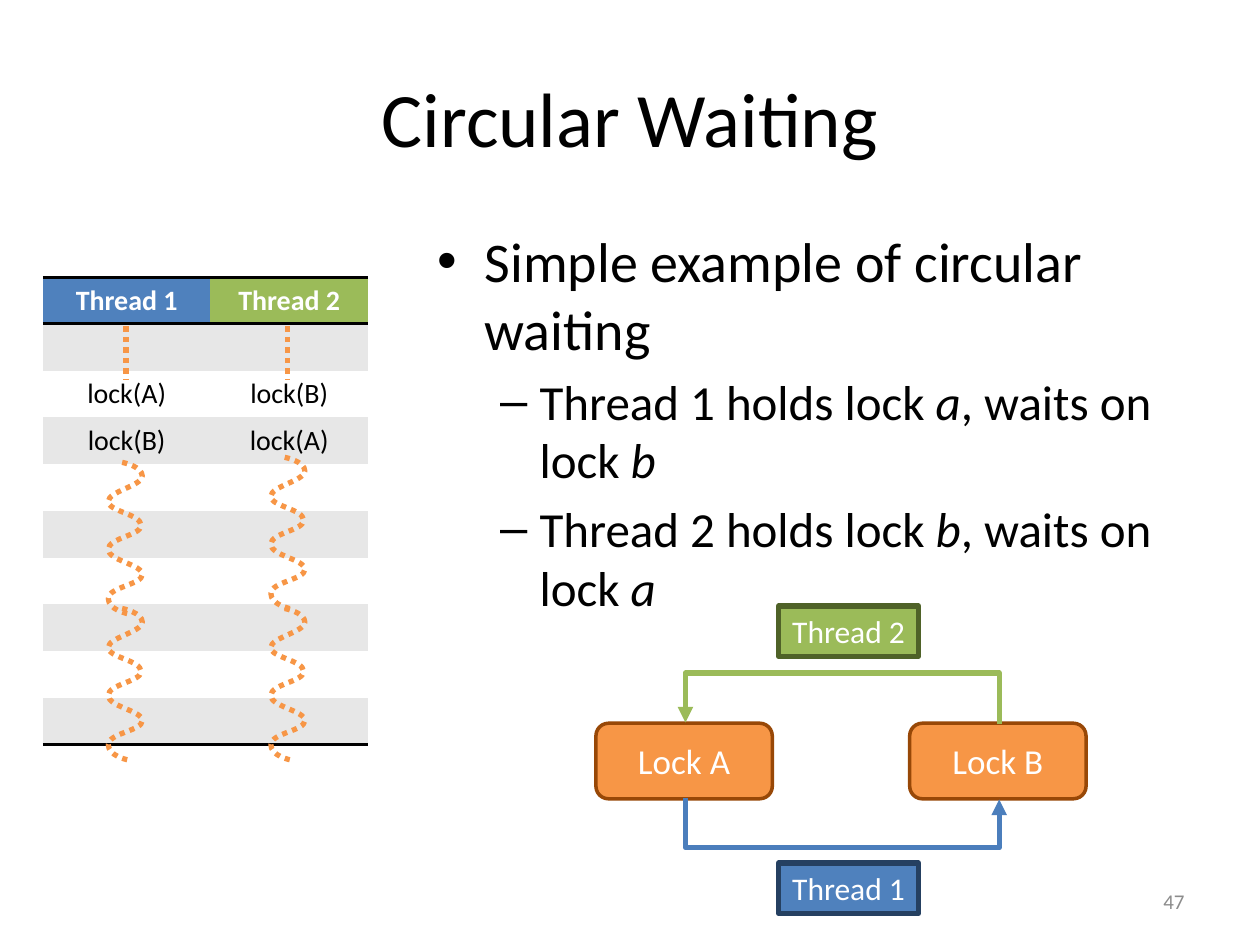
from lxml import etree
from pptx import Presentation
from pptx import util as u
from pptx.dml.color import RGBColor
from pptx.enum import dml, shapes, text
from pptx.oxml import ns

Inches, Pt = u.Inches, u.Pt
FONT = "Calibri"
COLORS = {
    "black": "000000", "white": "FFFFFF", "grey": "8C8C8C", "band": "E7E7E7",
    "blue": "4F81BD", "blue_line": "4B7EBC", "blue_edge": "254061",
    "green": "9BBB59", "green_edge": "4F6228",
    "orange": "F79646", "orange_edge": "984807",
}
# One wavy strand in inches: the start, then three Bezier points per curve
WAVE_START = (0.11, 0)
WAVE = [
    (0.11, 0), (0.27, 0.03), (0.27, 0.11),
    (0.26, 0.19), (0, 0.23), (0, 0.31),
    (0, 0.39), (0.26, 0.41), (0.26, 0.5),
    (0.26, 0.58), (0, 0.6), (0, 0.69),
    (0, 0.78), (0.27, 0.81), (0.27, 0.89),
    (0.27, 0.97), (0, 0.99), (0, 1.08),
    (0, 1.17), (0.15, 1.2), (0.15, 1.2),
]


def color(name):
    return RGBColor.from_string(COLORS[name])


def place(shape, left, top, width, height):
    shape.left, shape.top = Inches(left), Inches(top)
    shape.width, shape.height = Inches(width), Inches(height)


def style_text(para, size, name, align=None, bold=None):
    if align is not None:
        para.alignment = align
    for span in para.runs:
        span.font.name, span.font.size, span.font.bold = FONT, Pt(size), bold
        span.font.color.rgb = color(name)


def style_line(shape, name, width, dotted=False):
    shape.line.color.rgb = color(name)
    shape.line.width = Pt(width)
    if dotted:
        shape.line.dash_style = dml.MSO_LINE.ROUND_DOT


def add_line(page, kind, start, end):
    line = page.shapes.add_connector(kind, *(Inches(v) for v in start + end))
    etree.SubElement(line.element.spPr, ns.qn("a:effectLst"))
    return line


def add_heading(page, left, top, width, height):
    title = page.shapes.title
    place(title, left, top, width, height)
    title.text_frame.text = "Circular Waiting"
    style_text(title.text_frame.paragraphs[0], 44, "black", text.PP_ALIGN.CENTER)


def add_points(page, left, top, width, height):
    body = page.placeholders[1]
    place(body, left, top, width, height)
    frame = body.text_frame
    frame.auto_size = text.MSO_AUTO_SIZE.NONE
    frame.text = "Simple example of circular waiting"
    style_text(frame.paragraphs[0], 32, "black")
    for number, held, wanted in (("1", "a", "b"), ("2", "b", "a")):
        para = frame.add_paragraph()
        para.level = 1
        parts = (f"Thread {number} holds lock ", held, ", waits on lock ", wanted)
        for index, part in enumerate(parts):
            span = para.add_run()
            span.text = part
            span.font.italic = index % 2 == 1
        style_text(para, 28, "black")


def add_page_number(page, left, top, width, height):
    box = page.shapes.add_textbox(*(Inches(v) for v in (left, top, width, height)))
    frame = box.text_frame
    frame.word_wrap = True
    frame.vertical_anchor = text.MSO_ANCHOR.MIDDLE
    frame.text = "47"
    style_text(frame.paragraphs[0], 12, "grey", text.PP_ALIGN.RIGHT)


def add_border(cell, side):
    """Add a black border; the border elements come before the cell's fill."""
    border = etree.Element(ns.qn(f"a:{side}"), w=str(Pt(2)))
    fill = etree.SubElement(border, ns.qn("a:solidFill"))
    etree.SubElement(fill, ns.qn("a:srgbClr"), val=COLORS["black"])
    props = cell._tc.get_or_add_tcPr()
    props.insert(len(props.findall(ns.qn("a:lnT"))), border)


def add_wave(page, left, top):
    start, *points = [(Inches(left + x), Inches(top + y)) for x, y in [WAVE_START] + WAVE]
    builder = page.shapes.build_freeform(*start)
    builder.add_line_segments(points, close=False)
    wave = builder.convert_to_shape()
    # Join every three segments into one Bezier curve
    segments = list(wave.element.spPr.iter(ns.qn("a:lnTo")))
    for first in range(0, len(segments), 3):
        curve = etree.Element(ns.qn("a:cubicBezTo"))
        segments[first].addprevious(curve)
        for segment in segments[first:first + 3]:
            curve.append(segment[0])
            segment.getparent().remove(segment)
    wave.shadow.inherit = False
    wave.fill.background()
    style_line(wave, "orange", 3, dotted=True)


def add_schedule(page, left, top, widths, height):
    rows = [("Thread 1", "Thread 2"), ("", ""), ("lock(A)", "lock(B)"),
            ("lock(B)", "lock(A)")] + [("", "")] * 6
    holder = page.shapes.add_table(
        len(rows), 2, Inches(left), Inches(top), Inches(sum(widths)), Inches(height))
    table = holder.table
    table.first_row = table.horz_banding = False
    # Plain style without a grid
    table._tbl.tblPr.find(ns.qn("a:tableStyleId")).text = \
        "{2D5ABB26-0587-4C30-8999-92F81FD0307C}"
    for column, width in zip(table.columns, widths):
        column.width = Inches(width)
    for r, row in enumerate(rows):
        table.rows[r].height = Inches(height / len(rows))
        for c, words in enumerate(row):
            cell = table.cell(r, c)
            cell.margin_top = cell.margin_bottom = 0
            cell.vertical_anchor = text.MSO_ANCHOR.MIDDLE
            cell.text_frame.text = words
            header = r == 0
            style_text(cell.text_frame.paragraphs[0], 16, "white" if header else "black",
                       text.PP_ALIGN.CENTER, header)
            cell.fill.solid()
            band = "band" if r % 2 else "white"
            cell.fill.fore_color.rgb = color(("blue", "green")[c] if header else band)
            if header:
                add_border(cell, "lnT")
            if header or r == len(rows) - 1:
                add_border(cell, "lnB")
    # Thread strands: two waves each, then the straight starts
    for x, y in ((0.52, 1.47), (0.52, 2.63), (1.81, 1.43), (1.81, 2.63)):
        add_wave(page, left + x, top + y)
    for x in (0.66, 1.94):
        strand = add_line(page, shapes.MSO_CONNECTOR.STRAIGHT,
                          (left + x, top + 0.39), (left + x, top + 0.81))
        style_line(strand, "orange", 3, dotted=True)


def add_label(page, kind, words, size, fill, edge, width, box):
    shape = page.shapes.add_shape(kind, *(Inches(v) for v in box))
    shape.shadow.inherit = False
    shape.fill.solid()
    shape.fill.fore_color.rgb = color(fill)
    style_line(shape, edge, width)
    frame = shape.text_frame
    frame.word_wrap = False
    frame.vertical_anchor = text.MSO_ANCHOR.MIDDLE
    frame.text = words
    style_text(frame.paragraphs[0], size, "white", text.PP_ALIGN.CENTER)


def add_loop(page, x, y, span, depth, name, upward):
    """Elbow around (x, y): a thin upright connector turned by 270 degrees."""
    thin = 0.01
    left, right = x - thin / 2, x + thin / 2
    top, bottom = y - span / 2, y + span / 2
    start, end = ((left, bottom), (right, top)) if upward else ((right, top), (left, bottom))
    loop = add_line(page, shapes.MSO_CONNECTOR.ELBOW, start, end)
    style_line(loop, name, 3)
    props = loop.element.spPr
    props.find(ns.qn("a:xfrm")).set("rot", str(270 * 60000))
    guides = props.find(ns.qn("a:prstGeom")).find(ns.qn("a:avLst"))
    etree.SubElement(guides, ns.qn("a:gd"), name="adj1",
                     fmla=f"val {round(depth / thin * 100000)}")
    etree.SubElement(props.find(ns.qn("a:ln")), ns.qn("a:tailEnd"), type="triangle")


def add_cycle(page, left, top, width, height):
    lock_width, lock_height, lock_top = 1.4, 0.6, top + 0.93
    middle, span = left + width / 2 + 0.01, width - lock_width
    for words, x in (("Lock A", left), ("Lock B", left + span)):
        add_label(page, shapes.MSO_SHAPE.ROUNDED_RECTANGLE, words, 20, "orange",
                  "orange_edge", 2, (x, lock_top, lock_width, lock_height))
    add_loop(page, middle, lock_top + lock_height, span, 0.4, "blue_line", False)
    add_loop(page, middle, lock_top, span, 0.41, "green", True)
    for words, name, y in (("Thread 2", "green", top), ("Thread 1", "blue", top + height - 0.4)):
        add_label(page, shapes.MSO_SHAPE.RECTANGLE, words, 18, name, f"{name}_edge", 3,
                  (left + 1.45, y, 1.11, 0.4))


def main():
    deck = Presentation()
    deck.slide_width, deck.slide_height = Inches(10), Inches(7.5)
    page = deck.slides.add_slide(deck.slide_layouts[1])
    add_heading(page, 0.5, 0.3, 9, 1.25)
    add_points(page, 3.37, 1.75, 6.13, 3.3)
    add_page_number(page, 7.17, 6.95, 2.33, 0.4)
    add_schedule(page, 0.34, 2.2, (1.33, 1.25), 3.71)
    add_cycle(page, 4.73, 4.81, 3.89, 2.44)
    deck.save("out.pptx")


if __name__ == "__main__":
    main()
